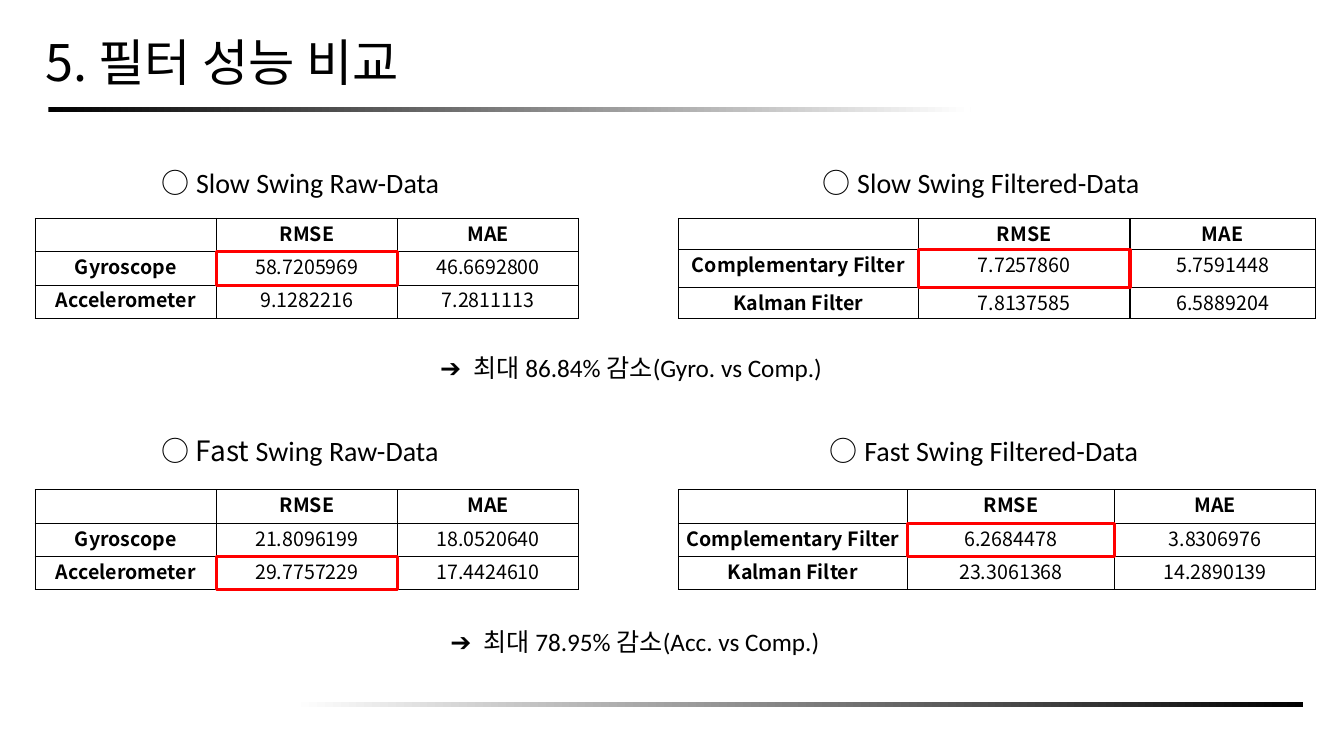
import pptx
import pptx.util
import pptx.dml.color
import pptx.enum.shapes
import pptx.enum.text
import pptx.oxml
import pptx.oxml.ns

Pt = pptx.util.Pt
KOREAN = "Noto Sans CJK KR"
LATIN = "Calibri"
BLACK, WHITE, RED = "000000", "FFFFFF", "FF0000"
RECTANGLE = pptx.enum.shapes.MSO_SHAPE.RECTANGLE

# Each panel: box (left, top, width, height), heading width, heading runs,
# column widths, row heights, table values, highlighted cell (row, column)
PANELS = [
    ((25.2, 114.5, 388.2, 113), 221.8,
     [("○ ", KOREAN), ("Slow Swing Raw-Data", LATIN)],
     [129.4] * 3, [23.8] * 3,
     [["", "RMSE", "MAE"],
      ["Gyroscope", "58.7205969", "46.6692800"],
      ["Accelerometer", "9.1282216", "7.2811113"]], (1, 1)),
    ((484.6, 114.5, 455, 113), 262.8,
     [("○ ", KOREAN), ("Slow Swing Filtered-Data", LATIN)],
     [171.4, 151.2, 132.4], [22.3, 26.8, 22.3],
     [["", "RMSE", "MAE"],
      ["Complementary Filter", "7.7257860", "5.7591448"],
      ["Kalman Filter", "7.8137585", "6.5889204"]], (1, 1)),
    ((25.2, 306, 388.2, 115.3), 221.8,
     [("○ Fast", KOREAN), (" Swing Raw-Data", LATIN)],
     [129.4] * 3, [23.8] * 3,
     [["", "RMSE", "MAE"],
      ["Gyroscope", "21.8096199", "18.0520640"],
      ["Accelerometer", "29.7757229", "17.4424610"]], (2, 1)),
    ((484.6, 306, 455, 115.3), 252.7,
     [("○ ", KOREAN), ("Fast Swing Filtered-Data", LATIN)],
     [163.4, 148.3, 143.3], [23.8] * 3,
     [["", "RMSE", "MAE"],
      ["Complementary Filter", "6.2684478", "3.8306976"],
      ["Kalman Filter", "23.3061368", "14.2890139"]], (1, 1)),
]


def color(hex_string):
    return pptx.dml.color.RGBColor.from_string(hex_string)


def format_run(run, size, font, bold=False):
    run.font.size = Pt(size)
    run.font.name = font
    run.font.bold = bold
    run.font.color.rgb = color(BLACK)
    east_asian = pptx.oxml.parse_xml(
        f'<a:ea {pptx.oxml.ns.nsdecls("a")} typeface="{KOREAN}"/>')
    run.font._element.find(pptx.oxml.ns.qn("a:latin")).addnext(east_asian)


def add_text(slide, box, runs, size):
    frame = slide.shapes.add_textbox(*map(Pt, box)).text_frame
    frame.word_wrap = True
    paragraph = frame.paragraphs[0]
    for text, font in runs:
        run = paragraph.add_run()
        run.text = text
        format_run(run, size, font)
    return frame


def add_title(slide, box, text):
    frame = add_text(slide, box, [(text, KOREAN)], 36)
    frame.vertical_anchor = pptx.enum.text.MSO_ANCHOR.MIDDLE
    frame.paragraphs[0].line_spacing = 0.9


def add_gradient_rule(slide, box, start, end):
    rule = slide.shapes.add_shape(RECTANGLE, *map(Pt, box))
    rule.shadow.inherit = False
    rule.line.fill.background()
    rule.fill.gradient()
    rule.fill.gradient_angle = 0
    for stop, shade in zip(rule.fill.gradient_stops, (start, end)):
        stop.color.rgb = color(shade)


def add_highlight(slide, box):
    highlight = slide.shapes.add_shape(RECTANGLE, *map(Pt, box))
    highlight.shadow.inherit = False
    highlight.fill.background()
    highlight.line.color.rgb = color(RED)
    highlight.line.width = Pt(2.25)


def format_cell(cell, text, bold):
    cell.margin_left = cell.margin_right = Pt(5)
    cell.margin_top = cell.margin_bottom = 0
    cell.text_frame.text = text
    paragraph = cell.text_frame.paragraphs[0]
    paragraph.alignment = pptx.enum.text.PP_ALIGN.CENTER
    for run in paragraph.runs:
        format_run(run, 14, KOREAN, bold)
    cell.fill.background()
    # Borders come before the fill
    properties = cell._tc.get_or_add_tcPr()
    for index, side in enumerate("LRTB"):
        properties.insert(index, pptx.oxml.parse_xml(
            f'<a:ln{side} {pptx.oxml.ns.nsdecls("a")} w="{Pt(1)}"><a:solidFill>'
            f'<a:srgbClr val="{BLACK}"/></a:solidFill></a:ln{side}>'))


def add_panel(slide, box, heading_width, heading, columns, rows, values, marked):
    left, top, width, height = box
    # Heading centred over the table
    add_text(slide, (left + (width - heading_width) / 2, top, heading_width, 31.5),
             heading, 20)

    # Table standing on the bottom of the box
    table_top = top + height - sum(rows)
    table = slide.shapes.add_table(
        len(rows), len(columns), Pt(left), Pt(table_top), Pt(width), Pt(sum(rows))).table
    table.first_row = table.horz_banding = False
    for column, column_width in zip(table.columns, columns):
        column.width = Pt(column_width)
    for r, (row_height, row_values) in enumerate(zip(rows, values)):
        table.rows[r].height = Pt(row_height)
        for c, value in enumerate(row_values):
            format_cell(table.cell(r, c), value, r == 0 or c == 0)

    # Frame around the compared value
    row, column = marked
    add_highlight(slide, (left + sum(columns[:column]), table_top + sum(rows[:row]),
                          columns[column], rows[row]))


def add_conclusion(slide, box, text):
    frame = add_text(slide, box, [("➔ ", LATIN), (text, LATIN)], 18)
    # Wider gap after the arrow
    frame.paragraphs[0].runs[0].font._element.set("spc", "220")


def main():
    presentation = pptx.Presentation()
    presentation.slide_width, presentation.slide_height = Pt(960), Pt(540)
    slide = presentation.slides.add_slide(presentation.slide_layouts[6])

    # Title and rules
    add_gradient_rule(slide, (34.6, 76.3, 658.8, 3.6), BLACK, WHITE)
    add_gradient_rule(slide, (209.5, 501.1, 721.4, 3.6), WHITE, BLACK)
    add_title(slide, (25.2, 25.9, 771.1, 41.8), "5. 필터 성능 비교")

    # Error tables
    for panel in PANELS:
        add_panel(slide, *panel)

    # Conclusions
    add_conclusion(slide, (307.4, 248.4, 299.5, 28.8), "최대 86.84% 감소(Gyro. vs Comp.)")
    add_conclusion(slide, (314.6, 444.2, 285.1, 28.8), "최대 78.95% 감소(Acc. vs Comp.)")

    presentation.save("out.pptx")


if __name__ == "__main__":
    main()
